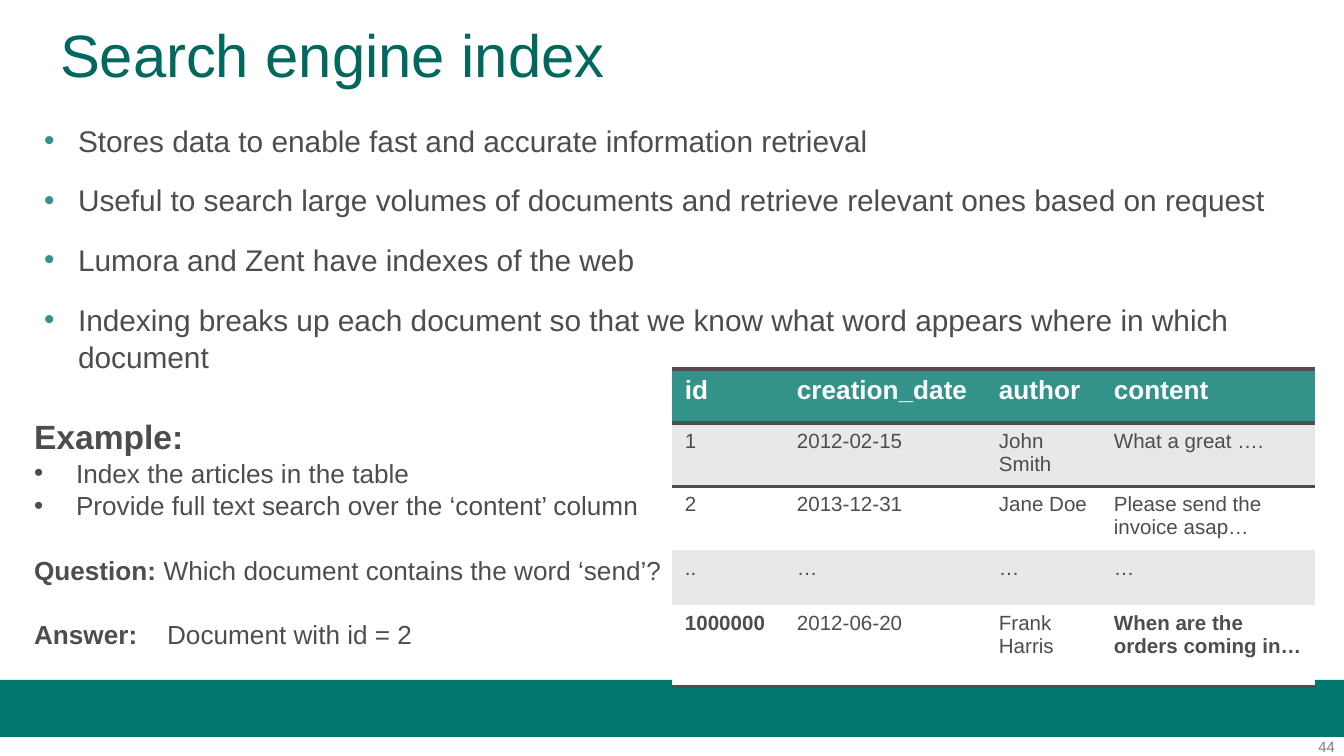
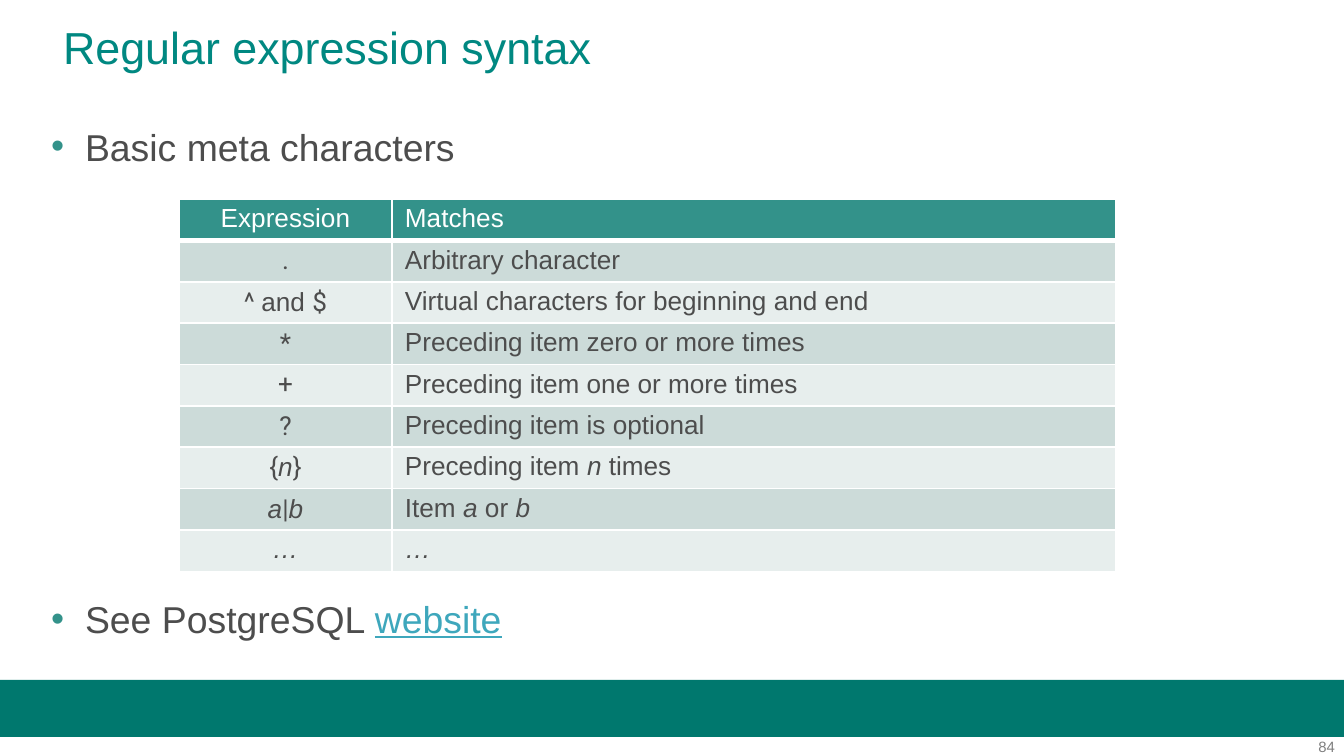
from lxml import etree
from pptx import Presentation
from pptx.dml.color import RGBColor
from pptx.enum.shapes import MSO_SHAPE
from pptx.enum.text import PP_ALIGN
from pptx.oxml.ns import qn
from pptx.util import Pt

PX = 914400 / 134.4
WIDTH, HEIGHT = 1344, 756

WHITE = RGBColor(0xFF, 0xFF, 0xFF)
BAND = RGBColor(0x00, 0x78, 0x6E)
TEAL = RGBColor(0x33, 0x92, 0x8A)
DARK_TITLE = RGBColor(0x00, 0x68, 0x5D)
LIGHT_TITLE = RGBColor(0x00, 0x88, 0x81)
INK = RGBColor(0x4D, 0x4D, 0x4D)
GREY = RGBColor(0x7F, 0x7F, 0x7F)
LINK = RGBColor(0x3E, 0xA7, 0xBC)
ROW_GREY = RGBColor(0xE8, 0xE8, 0xE8)
ROW_TEAL = RGBColor(0xCC, 0xDB, 0xD9)
ROW_PALE = RGBColor(0xE7, 0xEE, 0xED)

FONT, SYMBOL_FONT = "Arial", "Roboto"
NO_TABLE_STYLE = "{2D5ABB26-0587-4C30-8999-92F81FD0307C}"
BODY_SPACING = 1.04

ARTICLES = [
    ["id", "creation_date", "author", "content"],
    ["1", "2012-02-15", "John Smith", "What a great …."],
    ["2", "2013-12-31", "Jane Doe", "Please send the invoice asap…"],
    ["..", "…", "…", "…"],
    [[("1000000", "bold")], "2012-06-20", "Frank Harris",
     [("When are the orders coming in…", "bold")]],
]
EXPRESSIONS = [
    ["Expression", "Matches"],
    [[(".", "symbol")], "Arbitrary character"],
    [[("^ ", "symbol"), ("and ", ""), ("$", "symbol")],
     "Virtual characters for beginning and end"],
    [[("*", "symbol")], "Preceding item zero or more times"],
    [[("+", "symbol")], "Preceding item one or more times"],
    [[("?", "symbol")], "Preceding item is optional"],
    [[("{", "symbol"), ("n", "italic"), ("}", "symbol")],
     [("Preceding item ", ""), ("n", "italic"), (" times", "")]],
    [[("a", "italic"), ("|", "symbol"), ("b", "italic")],
     [("Item ", ""), ("a", "italic"), (" or ", ""), ("b", "italic")]],
    [[("…", "italic")], [("…", "italic")]],
]


def px(length):
    return round(length * PX)


def add_spans(para, content, size, color, bold=None):
    """Fill a paragraph with a string or a list of (text, style) spans."""
    font = para.font
    font.name, font.size, font.bold = FONT, Pt(size), bold
    font.color.rgb = color
    for text, style in [(content, "")] if isinstance(content, str) else content:
        span = para.add_run()
        span.text = text
        if style == "bold":
            span.font.bold = True
        elif style == "italic":
            span.font.italic = True
        elif style == "symbol":
            span.font.name = SYMBOL_FONT
        elif style == "link":
            span.font.color.rgb = LINK
            span.font.underline = True


def add_bullet(para, indent, color):
    properties = para._p.get_or_add_pPr()
    properties.set("marL", str(px(indent)))
    properties.set("indent", str(-px(indent)))
    bullet_color = etree.SubElement(properties, qn("a:buClr"))
    etree.SubElement(bullet_color, qn("a:srgbClr"), val=str(color))
    etree.SubElement(properties, qn("a:buFont"), typeface=FONT)
    etree.SubElement(properties, qn("a:buChar"), char="•")


def add_tab_stop(para, position):
    stops = etree.SubElement(para._p.get_or_add_pPr(), qn("a:tabLst"))
    etree.SubElement(stops, qn("a:tab"), pos=str(px(position)), algn="l")


def add_text_frame(page, left, top, width, height, inset=(0, 0)):
    box = page.shapes.add_textbox(px(left), px(top), px(width), px(height))
    frame = box.text_frame
    frame.word_wrap = True
    frame.margin_left = frame.margin_right = px(inset[0])
    frame.margin_top = frame.margin_bottom = px(inset[1])
    return frame


def next_paragraph(frame):
    first = frame.paragraphs[0]
    return frame.add_paragraph() if first.runs else first


def add_base(deck, number, title, left, size, color):
    """Add a page with the footer band, page number and title."""
    page = deck.slides.add_slide(deck.slide_layouts[6])
    band = page.shapes.add_shape(MSO_SHAPE.RECTANGLE, 0, px(680), px(WIDTH), px(57))
    band.shadow.inherit = False
    band.fill.solid()
    band.fill.fore_color.rgb = BAND
    band.line.fill.background()

    number_para = add_text_frame(page, 1257, 738, 78, 18).paragraphs[0]
    number_para.alignment = PP_ALIGN.RIGHT
    add_spans(number_para, number, 8, GREY)

    title_para = add_text_frame(page, left, 26, 1236, 67).paragraphs[0]
    title_para.line_spacing = 0.9
    add_spans(title_para, title, size, color)
    return page


def add_body(page, left, top, height, items, size, gap=12):
    frame = add_text_frame(page, left, top, 1236, height)
    for index, item in enumerate(items):
        para = next_paragraph(frame)
        para.line_spacing = BODY_SPACING
        if index:
            para.space_before = Pt(gap)
        add_bullet(para, 34, TEAL)
        add_spans(para, item, size, INK)


def set_border(cell, sides, color, width):
    """Draw the named sides (from L, R, T, B, in that order) of a cell."""
    properties = cell._tc.get_or_add_tcPr()
    for index, side in enumerate(sides):
        line = etree.Element(qn(f"a:ln{side}"), w=str(Pt(width)))
        fill = etree.SubElement(line, qn("a:solidFill"))
        etree.SubElement(fill, qn("a:srgbClr"), val=str(color))
        properties.insert(index, line)


def add_table(page, left, top, widths, heights, rows, fills, sizes, header_bold, inset):
    """Add a table with a teal header; fills alternate over the other rows."""
    frame = page.shapes.add_table(len(rows), len(widths), px(left), px(top),
                                  px(sum(widths)), px(sum(heights)))
    table = frame.table
    table.horz_banding = False
    table._tbl.tblPr.find(qn("a:tableStyleId")).text = NO_TABLE_STYLE
    for column, width in zip(table.columns, widths):
        column.width = px(width)
    for index, (row, height, contents) in enumerate(zip(table.rows, heights, rows)):
        row.height = px(height)
        header = index == 0
        for cell, content in zip(row.cells, contents):
            cell.margin_left = cell.margin_right = px(13)
            cell.margin_top = cell.margin_bottom = px(inset)
            cell.fill.solid()
            cell.fill.fore_color.rgb = TEAL if header else fills[(index - 1) % 2]
            add_spans(cell.text_frame.paragraphs[0], content,
                      sizes[0] if header else sizes[1],
                      WHITE if header else INK, header and header_bold)
    return table


def add_example(page, left, top):
    frame = add_text_frame(page, left, top, 664, 245, inset=(14, 7))
    heading = next_paragraph(frame)
    heading.line_spacing = BODY_SPACING
    add_spans(heading, "Example:", 18, INK, bold=True)
    for item in ["Index the articles in the table",
                 "Provide full text search over the ‘content’ column"]:
        para = next_paragraph(frame)
        para.line_spacing = BODY_SPACING
        add_bullet(para, 42, INK)
        add_spans(para, item, 14, INK)
    for label, text in [("Question: ", "Which document contains the word ‘send’?"),
                        ("Answer:", "\tDocument with id = 2")]:
        para = next_paragraph(frame)
        para.line_spacing = BODY_SPACING
        para.space_before = Pt(17)
        add_tab_stop(para, 133)
        add_spans(para, [(label, "bold"), (text, "")], 14, INK)


def build_index_page(deck):
    page = add_base(deck, "44", "Search engine index", 60, 32, DARK_TITLE)
    add_body(page, 44, 121, 239, [
        "Stores data to enable fast and accurate information retrieval",
        "Useful to search large volumes of documents and retrieve relevant ones "
        "based on request",
        "Lumora and Zent have indexes of the web",
        "Indexing breaks up each document so that we know what word appears where "
        "in which document",
    ], 16)
    table = add_table(page, 672, 369, [112, 202, 115, 214], [54, 63, 63, 55, 82],
                      ARTICLES, [ROW_GREY, WHITE], (14, 11), True, 7)
    for index, sides in [(0, "TB"), (1, "T"), (len(ARTICLES) - 1, "B")]:
        for cell in table.rows[index].cells:
            set_border(cell, sides, INK, 2)
    add_example(page, 20, 407)


def build_syntax_page(deck):
    page = add_base(deck, "84", "Regular expression syntax", 63, 24, LIGHT_TITLE)
    add_body(page, 51, 122, 555, [
        "Basic meta characters",
        [("See PostgreSQL ", ""), ("website", "link")],
    ], 20, gap=228)
    table = add_table(page, 179, 199, [213, 724], [41] * len(EXPRESSIONS),
                      EXPRESSIONS, [ROW_TEAL, ROW_PALE], (14, 14), False, 5)
    for index, row in enumerate(table.rows):
        row.cells[0].text_frame.paragraphs[0].alignment = PP_ALIGN.CENTER
        for cell in row.cells:
            set_border(cell, "LR", WHITE, 1)
            below = cell._tc.get_or_add_tcPr()
            set_border(cell, "TB", WHITE, 1)
            # The schema wants the sides in the order left, right, top, bottom.
            for line in below[:2]:
                below.insert(3, line)
            if index == 0:
                below.find(qn("a:lnB")).set("w", str(Pt(3)))
            elif index == 1:
                below.find(qn("a:lnT")).set("w", str(Pt(3)))


def main():
    deck = Presentation()
    deck.slide_width, deck.slide_height = px(WIDTH), px(HEIGHT)
    build_index_page(deck)
    build_syntax_page(deck)
    deck.save("out.pptx")


if __name__ == "__main__":
    main()
